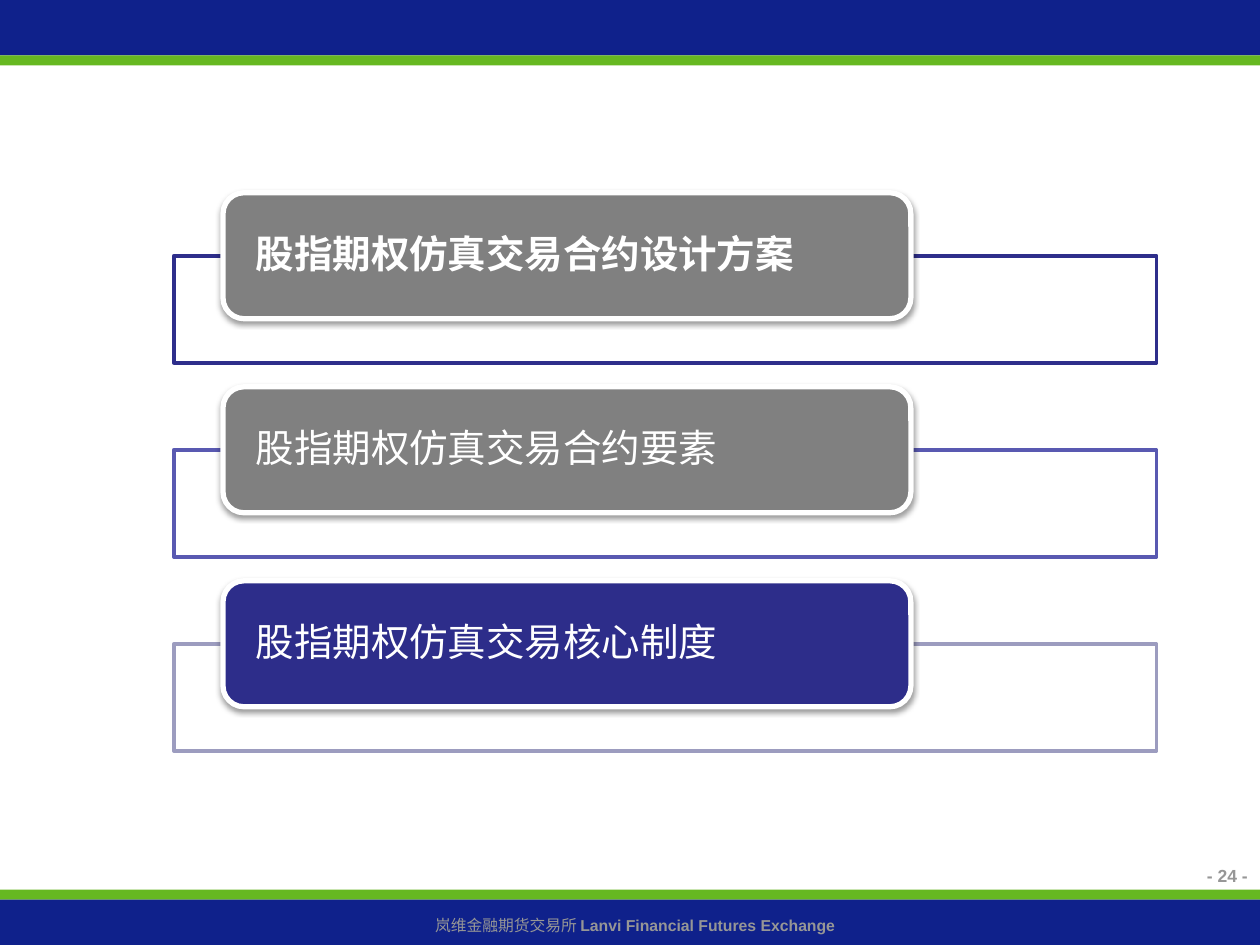
from lxml.etree import SubElement
from pptx import Presentation
from pptx.dml.color import RGBColor
from pptx.enum.shapes import MSO_SHAPE
from pptx.enum.text import MSO_ANCHOR, PP_ALIGN
from pptx.oxml.ns import qn
from pptx.util import Inches, Pt

WIDTH, HEIGHT = 10, 7.5
NAVY, GREEN, GRAY, WHITE = "0F218B", "66B821", "969696", "FFFFFF"

# Content: text, bold, card fill, frame line
AGENDA = [
    ("股指期权仿真交易合约设计方案", True, "808080", "2E2E8B"),
    ("股指期权仿真交易合约要素", False, "808080", "5959B1"),
    ("股指期权仿真交易核心制度", False, "2D2D8A", "9C9CBF"),
]
FOOTER = [("岚维金融期货交易所 ", False), ("Lanvi Financial Futures Exchange", True)]
PAGE_NUMBER = [("- 24 -", True)]

# Bands: top, height, colour
BANDS = [
    (0, 0.44, NAVY),
    (7.06, 0.08, GREEN),
    (0.44, 0.08, GREEN),
    (7.14, 0.36, NAVY),
]

# Agenda grid
FIRST_ROW, ROW_STEP = 1.53, 1.54
CARD_LEFT, CARD_WIDTH, CARD_HEIGHT = 1.77, 5.46, 1
FRAME_LEFT, FRAME_WIDTH, FRAME_HEIGHT, FRAME_DROP = 1.38, 7.8, 0.85, 0.5
CARD_INSET = 0.05


def color(value):
    return RGBColor.from_string(value)


def add_block(page, kind, left, top, width, height, fill, line=None, weight=0):
    block = page.shapes.add_shape(
        kind, Inches(left), Inches(top), Inches(width), Inches(height))
    block.shadow.inherit = False
    block.fill.solid()
    block.fill.fore_color.rgb = color(fill)
    if line:
        block.line.color.rgb = color(line)
        block.line.width = Pt(weight)
    else:
        block.line.fill.background()
    return block


def add_text(page, left, top, width, height, spans, size, font, ink, align):
    box = page.shapes.add_textbox(
        Inches(left), Inches(top), Inches(width), Inches(height))
    box.text_frame.word_wrap = True
    para = box.text_frame.paragraphs[0]
    para.alignment = align
    for text, bold in spans:
        span = para.add_run()
        span.text = text
        span.font.size = Pt(size)
        span.font.bold = bold
        span.font.name = font
        span.font.color.rgb = color(ink)
        SubElement(span.font._element, qn("a:ea"), typeface="Noto Sans CJK SC")
    return box


def set_alpha(block, percent):
    tint = block.fill._xPr.find(qn("a:solidFill"))[0]
    SubElement(tint, qn("a:alpha"), val=str(percent * 1000))


def add_shadow(block):
    effects = block._element.spPr.find(qn("a:effectLst"))
    shadow = SubElement(effects, qn("a:outerShdw"), blurRad="40000",
                        dist="20000", dir="5400000", rotWithShape="0")
    tint = SubElement(shadow, qn("a:srgbClr"), val="000000")
    SubElement(tint, qn("a:alpha"), val="38000")


def add_agenda_row(page, top, text, bold, fill, line):
    # Outlined frame behind the card
    frame = add_block(page, MSO_SHAPE.RECTANGLE, FRAME_LEFT, top + FRAME_DROP,
                      FRAME_WIDTH, FRAME_HEIGHT, WHITE, line, 2)
    set_alpha(frame, 90)

    # Rounded card with its label
    card = add_block(page, MSO_SHAPE.ROUNDED_RECTANGLE, CARD_LEFT, top,
                     CARD_WIDTH, CARD_HEIGHT, fill, WHITE, 3)
    add_shadow(card)
    label = add_text(page, CARD_LEFT + CARD_INSET, top + CARD_INSET,
                     CARD_WIDTH - 2 * CARD_INSET, CARD_HEIGHT - 2 * CARD_INSET,
                     [(text, bold)], 22, "Noto Sans CJK SC", WHITE, PP_ALIGN.LEFT)
    words = label.text_frame
    words.vertical_anchor = MSO_ANCHOR.MIDDLE
    words.margin_left = words.margin_right = Inches(0.21)
    words.margin_top = words.margin_bottom = 0
    words.paragraphs[0].line_spacing = 0.9


def main():
    deck = Presentation()
    deck.slide_width, deck.slide_height = Inches(WIDTH), Inches(HEIGHT)
    page = deck.slides.add_slide(deck.slide_layouts[6])

    # Header and footer
    for top, height, fill in BANDS:
        add_block(page, MSO_SHAPE.RECTANGLE, 0, top, WIDTH, height, fill)
    add_text(page, 0.08, 7.22, 9.92, 0.25, FOOTER, 9, "Arial", GRAY, PP_ALIGN.CENTER)
    add_text(page, 8.03, 6.82, 1.97, 0.36, PAGE_NUMBER, 10, "Arial", GRAY, PP_ALIGN.RIGHT)

    # Agenda
    for row, item in enumerate(AGENDA):
        add_agenda_row(page, FIRST_ROW + row * ROW_STEP, *item)

    deck.save("out.pptx")


if __name__ == "__main__":
    main()
